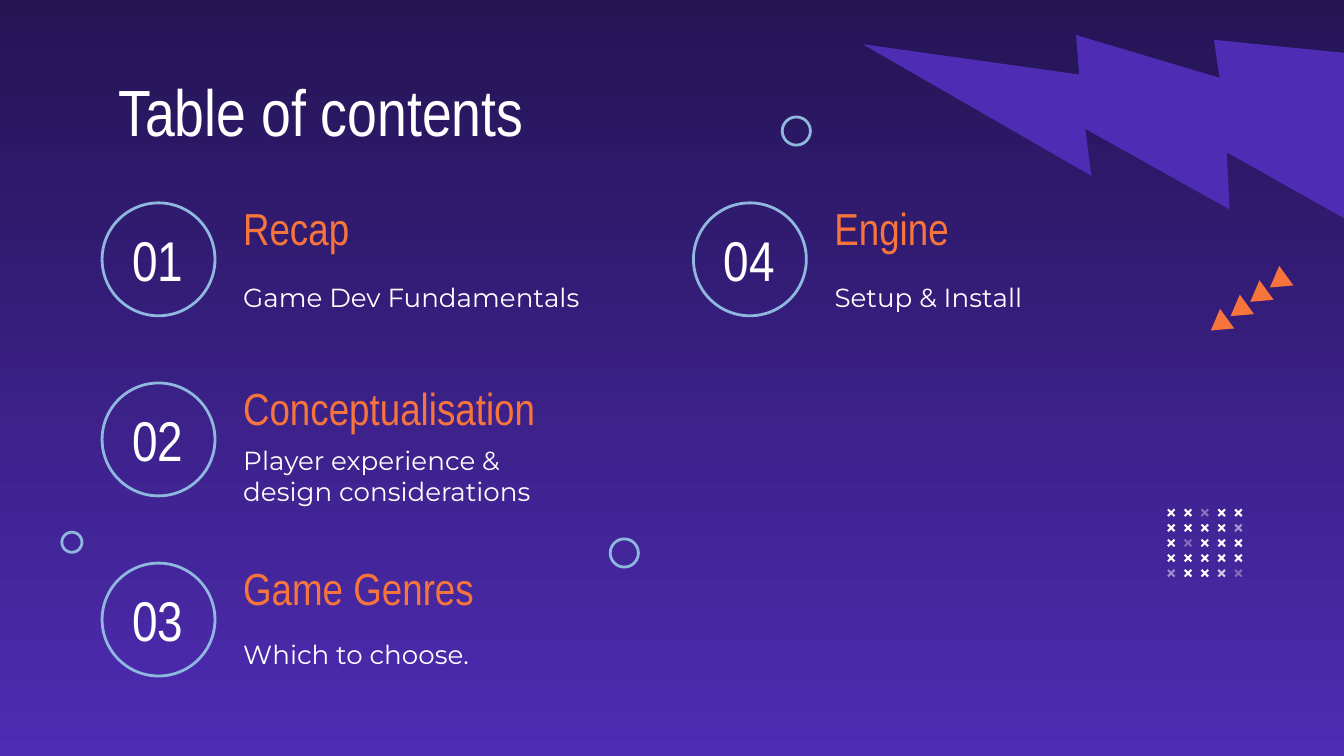
from lxml import etree
from pptx import Presentation
from pptx import util as u
from pptx.dml.color import RGBColor
from pptx.enum import shapes, text
from pptx.oxml.ns import qn

NIGHT = RGBColor(0x24, 0x14, 0x54)
VIOLET = RGBColor(0x4E, 0x2C, 0xB3)
ORANGE = RGBColor(0xF7, 0x74, 0x3C)
SKY = RGBColor(0x8E, 0xB8, 0xDE)
WHITE = RGBColor(0xFF, 0xFF, 0xFF)

HEAD, BODY = "Arial Narrow", "Montserrat"
TOP, MIDDLE = text.MSO_ANCHOR.TOP, text.MSO_ANCHOR.MIDDLE
LEFT, CENTER = text.PP_ALIGN.LEFT, text.PP_ALIGN.CENTER

ENTRIES = [
    ("01", "Recap", "Game Dev Fundamentals"),
    ("02", "Conceptualisation", "Player experience & design considerations"),
    ("03", "Game Genres", "Which to choose."),
    ("04", "Engine", "Setup & Install"),
]
ROWS_PER_COLUMN = 3
# (row, column) of the faded crosses: opacity in percent
FADED = {(0, 2): 36, (1, 4): 53, (2, 1): 34, (4, 0): 48, (4, 3): 75, (4, 4): 33}


def inches(*values):
    return [u.Inches(v) for v in values]


def write(sp, words, size, font=HEAD, color=WHITE, align=LEFT, anchor=MIDDLE):
    """Fill a text box or placeholder with one unbulleted paragraph."""
    tf = sp.text_frame
    frame = {"word_wrap": True, "auto_size": text.MSO_AUTO_SIZE.NONE,
             "vertical_anchor": anchor}
    frame.update({f"margin_{side}": u.Inches(0.1)
                  for side in ("left", "right", "top", "bottom")})
    for name, value in frame.items():
        setattr(tf, name, value)
    tf.text = words
    p = tf.paragraphs[0]
    pPr = p._p.get_or_add_pPr()
    pPr.set("marL", "0")
    pPr.set("indent", "0")
    etree.SubElement(pPr, qn("a:buNone"))
    p.alignment, p.space_before = align, u.Pt(0)
    style = {"name": font, "size": u.Pt(size), "bold": False}
    for name, value in style.items():
        setattr(p.runs[0].font, name, value)
    p.runs[0].font.color.rgb = color


def place(sp, x, y, w, h):
    sp.left, sp.top, sp.width, sp.height = inches(x, y, w, h)


def add_shape(slide, kind, x, y, w, h, fill, rotation=0):
    sp = slide.shapes.add_shape(kind, *inches(x, y, w, h))
    sp.shadow.inherit = False
    sp.rotation = rotation
    sp.fill.solid()
    sp.fill.fore_color.rgb = fill
    sp.line.fill.background()
    return sp


def add_ring(slide, x, y, size):
    sp = slide.shapes.add_shape(shapes.MSO_SHAPE.OVAL, *inches(x, y, size, size))
    sp.shadow.inherit = False
    sp.fill.background()
    sp.line.color.rgb = SKY
    sp.line.width = u.Pt(1.5)


def add_background(slide):
    fill = slide.background.fill
    fill.gradient()
    fill.gradient_angle = 270
    for stop, color in zip(fill.gradient_stops, (NIGHT, VIOLET)):
        stop.color.rgb = color


def add_bolt(slide, x, y, size):
    bolt = add_shape(slide, shapes.MSO_SHAPE.LIGHTNING_BOLT,
                     x, y, size, size, VIOLET, 59.9)
    bolt._element.spPr.find(qn("a:xfrm")).set("flipH", "1")


def add_entry(slide, body, x, y, drop, entry):
    """Ringed number and heading, with a description `drop` below the top."""
    number, heading, description = entry
    add_ring(slide, x, y, 0.84)
    label = slide.shapes.add_textbox(*inches(x - 0.03, y - 0.06, 0.89, 0.96))
    write(label, number, 30, align=CENTER)
    title = slide.shapes.add_textbox(*inches(x + 0.95, y, 3.41, 0.37))
    write(title, heading, 24, color=ORANGE)
    place(body, x + 0.95, y + drop, 2.76, 0.64)
    write(body, description, 14, font=BODY)


def add_cross_grid(slide, x, y, w, h, count=5):
    size = 0.07
    for row in range(count):
        for col in range(count):
            cross = add_shape(slide, shapes.MSO_SHAPE.CROSS,
                              x + col * (w - size) / (count - 1),
                              y + row * (h - size) / (count - 1),
                              size, size, WHITE, 315)
            cross.adjustments[0] = 0.39
            if (row, col) in FADED:
                color = cross._element.spPr.find(".//" + qn("a:srgbClr"))
                alpha = etree.SubElement(color, qn("a:alpha"))
                alpha.set("val", str(FADED[row, col] * 1000))


def add_triangle_trail(slide, x, y, w, h, count=4):
    """Triangles rising from the lower left to the upper right of the box."""
    tw, th = 0.18, 0.15
    for i in range(count):
        t = i / (count - 1)
        add_shape(slide, shapes.MSO_SHAPE.ISOSCELES_TRIANGLE,
                  x + (w - tw) * (1 - t), y + (h - th) * t, tw, th, ORANGE, 234.2)


def build_contents(prs):
    slide = prs.slides.add_slide(prs.slide_layouts.get_by_name("Comparison"))
    add_background(slide)
    add_bolt(slide, 7, -0.68, 3.17)
    title = slide.shapes.title
    place(title, 0.78, 0.43, 8.43, 0.64)
    write(title, "Table of contents", 35, anchor=TOP)
    bodies = [ph for ph in slide.placeholders if 1 <= ph.placeholder_format.idx <= 4]
    for i, (body, entry) in enumerate(zip(bodies, ENTRIES)):
        col, row = divmod(i, ROWS_PER_COLUMN)
        add_entry(slide, body, 0.76 + col * 4.4, 1.51 + row * 1.34,
                  0.38 - row * 0.01, entry)
    add_cross_grid(slide, 8.68, 3.78, 0.57, 0.52)
    for x, y, size in ((0.46, 3.96, 0.15), (5.82, 0.87, 0.21), (4.54, 4.01, 0.21)):
        add_ring(slide, x, y, size)
    add_triangle_trail(slide, 8.98, 2.02, 0.62, 0.47)


def main():
    prs = Presentation()
    prs.slide_width = u.Inches(10)
    prs.slide_height = u.Inches(10 * 9 / 16)
    build_contents(prs)
    prs.save("out.pptx")


if __name__ == "__main__":
    main()
